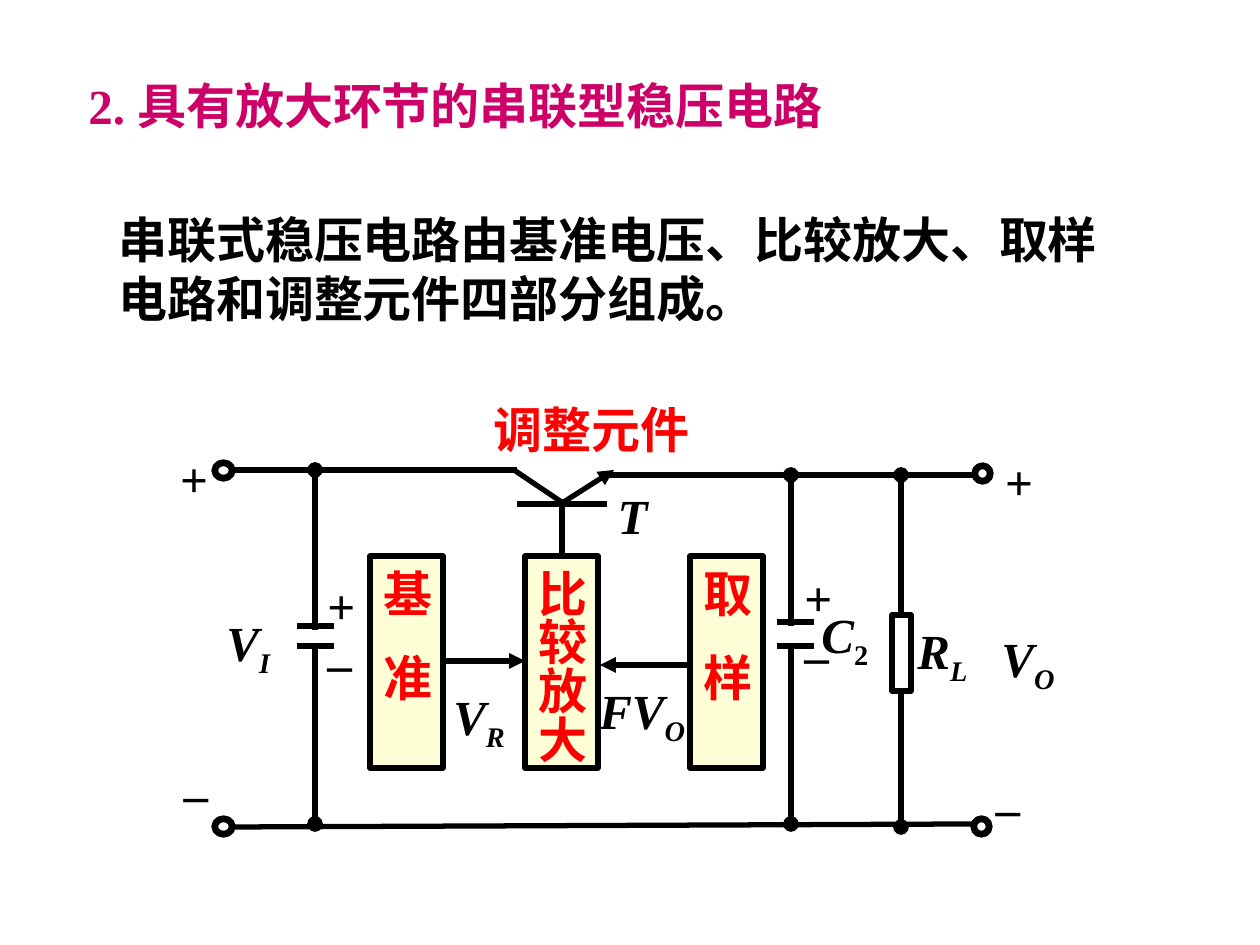
from lxml.etree import SubElement
from pptx import Presentation
from pptx.dml.color import RGBColor
from pptx.enum.shapes import MSO_CONNECTOR as Connector, MSO_SHAPE as Shape
from pptx.enum.text import MSO_ANCHOR as Anchor, MSO_AUTO_SIZE as AutoSize, PP_ALIGN as Align
from pptx.oxml.ns import qn
from pptx.util import Pt

PX = 914400 / 126
BLACK, RED, MAGENTA, CREAM = "000000", "FF0000", "CC0066", "FFFFD7"
SERIF, SANS = "Times New Roman", "Arial"


def px(length):
    """Turn pixels into EMU."""
    return round(length * PX)


def color(code):
    """Turn a hex string into a colour."""
    return RGBColor.from_string(code)


def apply(target, values):
    """Set each format value on the target."""
    for name, value in values.items():
        setattr(target, name, value)


def stroke(line):
    """Give an outline the black circuit stroke."""
    line.color.rgb = color(BLACK)
    line.width = Pt(3)


def write(paragraph, text, face=SERIF, ink=BLACK, italic=False, **attributes):
    """Add a bold run with optional raw run attributes."""
    run = paragraph.add_run()
    run.text = text
    apply(run.font, dict(name=face, size=Pt(28), bold=True, italic=italic))
    run.font.color.rgb = color(ink)
    for name, value in attributes.items():
        run.font._element.set(name, str(value))


def text_box(slide, area, wrap=True, anchor=Anchor.TOP, align=Align.LEFT):
    """Add a text box and return its frame."""
    frame = slide.shapes.add_textbox(*map(px, area)).text_frame
    apply(frame, dict(word_wrap=wrap, vertical_anchor=anchor,
                      auto_size=AutoSize.SHAPE_TO_FIT_TEXT))
    frame.paragraphs[0].alignment = align
    return frame


def symbol(slide, area, letter, subscript, slanted=True):
    """Add a quantity with its subscript."""
    paragraph = text_box(slide, area).paragraphs[0]
    write(paragraph, letter, italic=True)
    write(paragraph, subscript, italic=slanted, baseline=-25000)


def sign(slide, left, top, mark):
    """Add a polarity sign beside a terminal."""
    frame = text_box(slide, (left, top, 84, 72), anchor=Anchor.MIDDLE, align=Align.CENTER)
    write(frame.paragraphs[0], mark)


def wire(slide, start, end, **tips):
    """Draw a wire with optional headEnd and tailEnd tips."""
    connector = slide.shapes.add_connector(Connector.STRAIGHT, *map(px, start + end))
    stroke(connector.line)
    outline = connector.line._get_or_add_ln()
    for tip, kind in tips.items():
        SubElement(outline, qn(f"a:{tip}"), type=kind)
    SubElement(connector._element.spPr, qn("a:effectLst"))


def outlined(slide, kind, area, fill=None):
    """Add an outlined shape, hollow unless a fill is given."""
    shape = slide.shapes.add_shape(kind, *map(px, area))
    shape.shadow.inherit = False
    if fill:
        shape.fill.solid()
        shape.fill.fore_color.rgb = color(fill)
    else:
        shape.fill.background()
    stroke(shape.line)
    return shape


def terminal(slide, left, top, width):
    """Draw an open terminal ring."""
    ring = outlined(slide, Shape.DONUT, (left, top, width, 17))
    ring.adjustments[0] = 0.09


def stage(slide, left, first, rest="", spacing=0):
    """Draw a circuit stage with a vertical caption."""
    frame = outlined(slide, Shape.RECTANGLE, (left, 556, 73, 212), CREAM).text_frame
    apply(frame, dict(word_wrap=False, vertical_anchor=Anchor.MIDDLE,
                      margin_left=px(6), margin_right=px(6),
                      margin_top=px(13), margin_bottom=px(13)))
    frame._txBody.bodyPr.set("vert", "eaVert")
    caption = frame.paragraphs[0]
    caption.alignment = Align.CENTER
    write(caption, first, SANS, RED, spc=spacing)
    if rest:
        write(caption, rest, SANS, RED)


def capacitor(slide, center, node, plate_left, plate, label):
    """Draw a polarised capacitor between the rails."""
    wire(slide, (center, node), (center, plate + 4), headEnd="oval")
    for level in (plate, 646):
        wire(slide, (plate_left, level), (plate_left + 37, level))
    wire(slide, (center, 824), (center, 648), headEnd="oval")
    frame = text_box(slide, (*label, 53, 96), wrap=False)
    for paragraph, mark in ((frame.paragraphs[0], "+"), (frame.add_paragraph(), "_")):
        paragraph.line_spacing = 0.7
        write(paragraph, mark)


def draw_rails(slide):
    """Draw the input and output rails with their terminals."""
    for start, end in (((517, 470), (233, 470)), ((609, 475), (973, 475)),
                       ((233, 827), (973, 824))):
        wire(slide, start, end)
    for ring in ((214, 462, 19), (214, 818, 19), (974, 465, 17), (973, 818, 17)):
        terminal(slide, *ring)
    for mark in ((977, 445, "+"), (966, 771, "–"), (152, 442, "+"), (154, 757, "–")):
        sign(slide, *mark)


def draw_transistor(slide):
    """Draw the adjusting transistor and its labels."""
    wire(slide, (514, 470), (563, 503))
    wire(slide, (559, 505), (614, 470), tailEnd="triangle")
    wire(slide, (517, 504), (607, 504))
    wire(slide, (562, 504), (562, 556))
    name = text_box(slide, (605, 479, 55, 72), wrap=False, align=Align.CENTER)
    write(name.paragraphs[0], "T", italic=True)
    role = text_box(slide, (481, 393, 221, 72), wrap=False)
    write(role.paragraphs[0], "调整元件", SANS, RED)


def draw_control(slide):
    """Draw the reference, amplifier and sampling stages."""
    stage(slide, 525, "比较放大")
    stage(slide, 370, "基 ", "准", 700)
    stage(slide, 690, "取 ", "样", 700)
    wire(slide, (444, 661), (525, 661), tailEnd="triangle")
    wire(slide, (690, 665), (600, 665), tailEnd="triangle")


def draw_load(slide):
    """Draw the load resistor."""
    wire(slide, (901, 475), (901, 615), headEnd="oval")
    outlined(slide, Shape.RECTANGLE, (892, 615, 19, 76))
    wire(slide, (901, 691), (901, 827), tailEnd="oval")


def main():
    """Build the slide and save it."""
    deck = Presentation()
    apply(deck, dict(slide_width=px(1260), slide_height=px(945)))
    slide = deck.slides.add_slide(deck.slide_layouts[6])
    heading = text_box(slide, (76, 69, 953, 72)).paragraphs[0]
    write(heading, "2. ", ink=MAGENTA)
    write(heading, "具有放大环节的串联型稳压电路", SANS, MAGENTA)
    summary = text_box(slide, (106, 203, 1023, 131), anchor=Anchor.MIDDLE)
    write(summary.paragraphs[0],
          "串联式稳压电路由基准电压、比较放大、取样电路和调整元件四部分组成。", SANS)
    draw_rails(slide)
    draw_transistor(slide)
    draw_control(slide)
    capacitor(slide, 315, 470, 297, 626, (315, 585))
    capacitor(slide, 791, 475, 777, 622, (792, 577))
    draw_load(slide)
    for quantity in (((214, 606, 82, 79), "V", "I"), ((989, 622, 108, 79), "V", "O"),
                     ((441, 680, 111, 79), "V", "R"), ((587, 674, 134, 79), "FV", "O"),
                     ((809, 598, 96, 79), "C", "2", False), ((905, 614, 100, 79), "R", "L")):
        symbol(slide, *quantity)
    deck.save("out.pptx")


if __name__ == "__main__":
    main()
